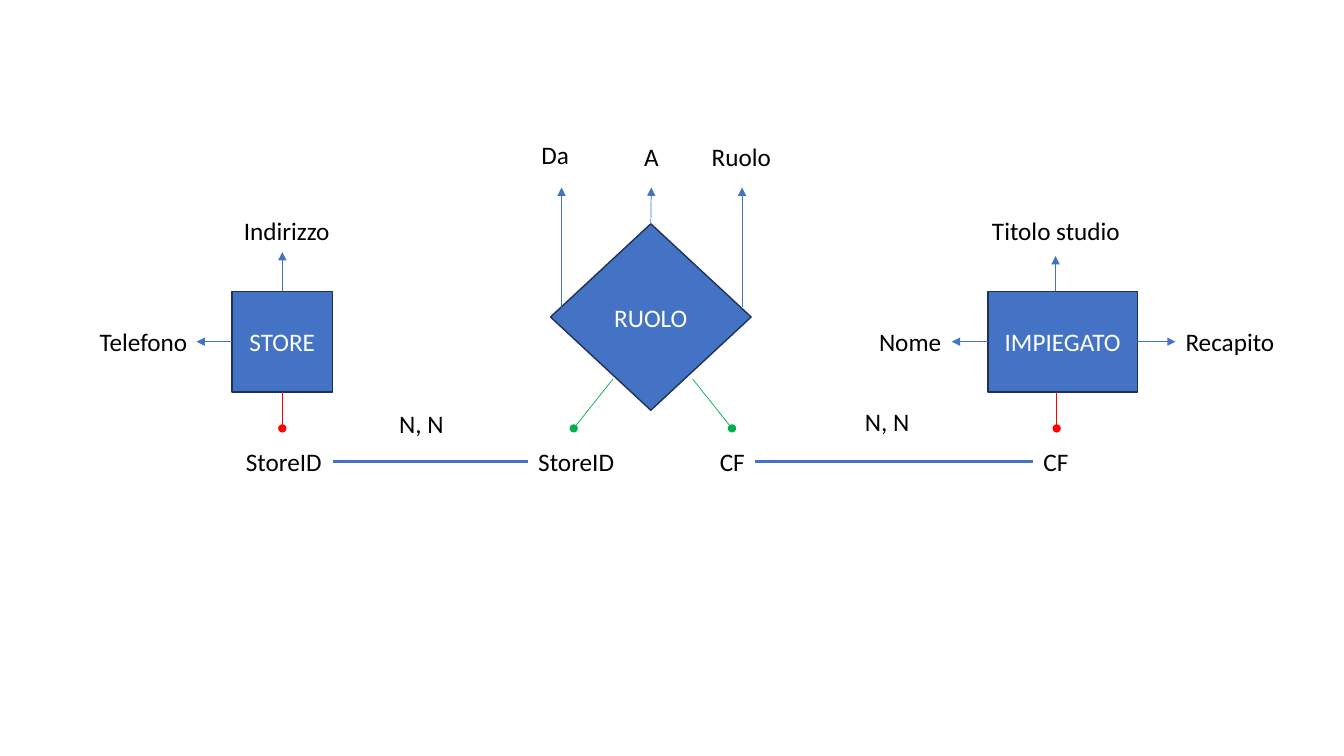
from lxml.etree import SubElement
from pptx import Presentation
from pptx.dml.color import RGBColor
from pptx.enum.shapes import MSO_CONNECTOR, MSO_SHAPE
from pptx.enum.text import MSO_ANCHOR, MSO_AUTO_SIZE, PP_ALIGN
from pptx.oxml.ns import qn
from pptx.util import Inches, Pt

COLORS = {"blue": "4472C4", "navy": "1E3256", "red": "FF0000",
          "green": "00B050", "white": "FFFFFF", "black": "000000"}
FONT = {"name": "Calibri", "size": Pt(18)}
LABEL_H = 0.4
TOP, LEFT, BOTTOM, RIGHT = range(4)

ENTITIES = [
    ("STORE", MSO_SHAPE.RECTANGLE, 2.3, 2.89, 1, 1),
    ("IMPIEGATO", MSO_SHAPE.RECTANGLE, 9.8, 2.89, 1.48, 1),
    ("RUOLO", MSO_SHAPE.DIAMOND, 5.46, 2.22, 1.99, 1.85),
]
LABELS = [
    ("Indirizzo", 2.32, 2.09, 1.06),
    ("Telefono", 0.89, 3.19, 1.08),
    ("Titolo studio", 9.74, 2.09, 1.48),
    ("Nome", 8.62, 3.19, 0.83),
    ("Recapito", 11.66, 3.19, 1.09),
    ("Da", 5.27, 1.33, 0.48),
    ("A", 6.29, 1.35, 0.35),
    ("Ruolo", 6.96, 1.35, 0.8),
    ("N, N", 3.86, 4, 0.65),
    ("N, N", 8.48, 3.98, 0.65),
]
KEY_Y = 4.38
KEYS = [
    ("StoreID", 2.34, 0.96),
    ("StoreID", 5.24, 0.96),
    ("CF", 7.04, 0.45),
    ("CF", 10.25, 0.45),
]
ATTRIBUTES = [
    ((2.8, 2.89), (2.8, 2.5), ("STORE", TOP)),
    ((2.3, 3.39), (1.95, 3.39), ("STORE", LEFT)),
    ((9.8, 3.39), (9.44, 3.39), ("IMPIEGATO", LEFT)),
    ((11.28, 3.39), (11.66, 3.39), ("IMPIEGATO", RIGHT)),
    ((10.47, 2.89), (10.47, 2.54), None),
    ((5.57, 3.05), (5.57, 1.86), None),
    ((6.46, 2.22), (6.46, 1.86), ("RUOLO", TOP)),
    ((7.36, 3.05), (7.36, 1.86), None),
]
IDENTIFIERS = [
    ((2.8, 3.89), (2.8, 4.25), ("STORE", BOTTOM), "red"),
    ((10.48, 3.89), (10.48, 4.25), None, "red"),
    ((6.08, 3.76), (5.69, 4.25), None, "green"),
    ((6.87, 3.76), (7.26, 4.25), None, "green"),
]


def rgb(name):
    return RGBColor.from_string(COLORS[name])


def write(tf, text, color, align):
    p = tf.paragraphs[0]
    p.alignment = align
    r = p.add_run()
    r.text = text
    for name, value in FONT.items():
        setattr(r.font, name, value)
    r.font.color.rgb = rgb(color)


def add_entity(s, text, kind, *box):
    sp = s.shapes.add_shape(kind, *map(Inches, box))
    sp.shadow.inherit = False
    sp.fill.solid()
    sp.fill.fore_color.rgb = rgb("blue")
    sp.line.color.rgb = rgb("navy")
    sp.line.width = Pt(1)
    sp.text_frame.vertical_anchor = MSO_ANCHOR.MIDDLE
    write(sp.text_frame, text, "white", PP_ALIGN.CENTER)
    return sp


def add_label(s, text, x, y, w):
    sp = s.shapes.add_textbox(*map(Inches, (x, y, w, LABEL_H)))
    sp.text_frame.word_wrap = False
    sp.text_frame.auto_size = MSO_AUTO_SIZE.SHAPE_TO_FIT_TEXT
    write(sp.text_frame, text, "black", PP_ALIGN.LEFT)
    return sp


def add_line(s, start, end, color="blue", width=0.5, tail=None):
    cx = s.shapes.add_connector(MSO_CONNECTOR.STRAIGHT, *map(Inches, start + end))
    cx.line.color.rgb = rgb(color)
    cx.line.width = Pt(width)
    spPr = cx.line._get_or_add_ln().getparent()
    if tail:
        SubElement(spPr.find(qn("a:ln")), qn("a:tailEnd"), type=tail)
    SubElement(spPr, qn("a:effectLst"))
    return cx


def main():
    prs = Presentation()
    prs.slide_width, prs.slide_height = Inches(13.33), Inches(7.5)
    s = prs.slides.add_slide(prs.slide_layouts[6])

    entities = {entity[0]: add_entity(s, *entity) for entity in ENTITIES}
    for label in LABELS:
        add_label(s, *label)
    keys = [add_label(s, text, x, KEY_Y, w) for text, x, w in KEYS]

    links = [(*attribute, "blue", "triangle") for attribute in ATTRIBUTES]
    links += [(*identifier, "oval") for identifier in IDENTIFIERS]
    for start, end, joint, color, tail in links:
        cx = add_line(s, start, end, color, tail=tail)
        if joint:
            name, side = joint
            cx.begin_connect(entities[name], side)

    y = KEY_Y + LABEL_H / 2
    for i in range(0, len(KEYS), 2):
        (_, x, w), (_, next_x, _) = KEYS[i:i + 2]
        cx = add_line(s, (x + w, y), (next_x, y), width=2.25)
        cx.begin_connect(keys[i], RIGHT)
        cx.end_connect(keys[i + 1], LEFT)

    prs.save("out.pptx")


if __name__ == "__main__":
    main()
